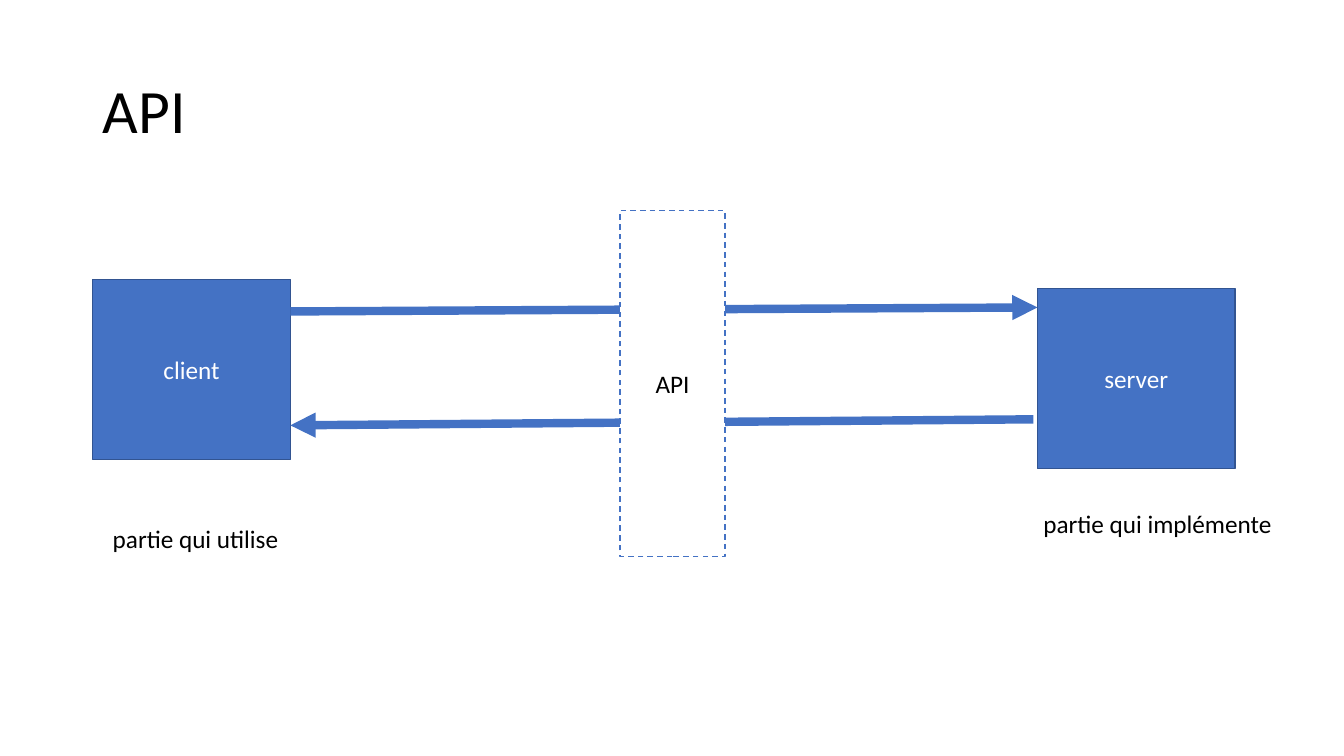
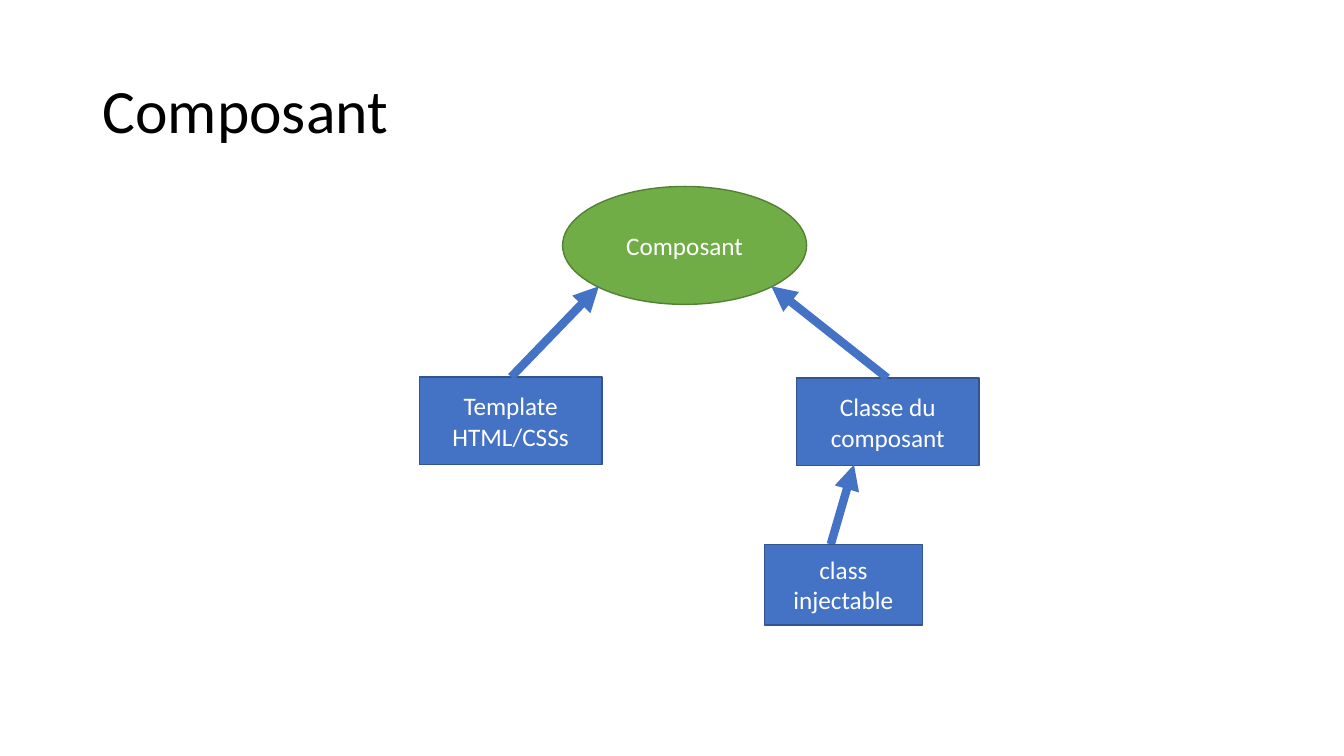
from lxml.etree import SubElement
from pptx import Presentation
from pptx.dml.color import RGBColor
from pptx.enum.dml import MSO_LINE
from pptx.enum.shapes import MSO_CONNECTOR, MSO_SHAPE
from pptx.enum.text import MSO_ANCHOR, MSO_AUTO_SIZE, PP_ALIGN
from pptx.oxml.ns import qn
from pptx.util import Inches, Pt

FONT = "Calibri"
BLACK, WHITE, BLUE = "000000", "FFFFFF", "4472C4"

# Node styles: shape, fill, outline, text colour, dash
STYLES = {
    "block": (MSO_SHAPE.RECTANGLE, BLUE, "325491", WHITE, None),
    "root": (MSO_SHAPE.OVAL, "70AD47", "538035", WHITE, None),
    "interface": (MSO_SHAPE.RECTANGLE, WHITE, BLUE, BLACK, MSO_LINE.DASH),
}

# Content: nodes (style, text, left, top, width, height), arrows (start, end),
# nodes in front of the arrows, captions (text, left, top, width, height)
SLIDES = [
    {
        "title": "API",
        "nodes": [
            ("block", "client", 0.92, 2.77, 1.96, 1.79),
            ("block", "server", 10.29, 2.86, 1.96, 1.79),
        ],
        "arrows": [
            ((2.88, 3.09), (10.29, 3.05)),
            ((10.25, 4.16), (2.88, 4.22)),
        ],
        "front": [("interface", "API", 6.15, 2.09, 1.04, 3.43)],
        "captions": [
            ("partie qui utilise", 1.02, 5.14, 1.87, 0.4),
            ("partie qui implémente", 10.25, 4.99, 2.5, 0.4),
        ],
    },
    {
        "title": "Composant",
        "nodes": [
            ("root", "Composant", 5.58, 1.85, 2.42, 1.17),
            ("block", "Template\nHTML/CSSs", 4.16, 3.74, 1.81, 0.87),
            ("block", "Classe du composant", 7.9, 3.75, 1.81, 0.87),
        ],
        "arrows": [
            ((5.07, 3.74), (5.94, 2.84)),
            ((8.8, 3.75), (7.65, 2.84)),
            ((8.24, 5.4), (8.47, 4.61)),
        ],
        "front": [("block", "class injectable", 7.58, 5.4, 1.57, 0.8)],
        "captions": [],
    },
]


def rgb(value):
    return RGBColor.from_string(value)


def write(frame, text, colour, size=18, align=PP_ALIGN.LEFT):
    frame.text = text
    for paragraph in frame.paragraphs:
        paragraph.alignment = align
        paragraph.font.name = FONT
        paragraph.font.size = Pt(size)
        paragraph.font.color.rgb = rgb(colour)


def add_title(slide, text):
    frame = slide.shapes.add_textbox(*map(Inches, (0.92, 0.4, 11.5, 1.45))).text_frame
    frame.word_wrap = True
    frame.vertical_anchor = MSO_ANCHOR.MIDDLE
    write(frame, text, BLACK, 44)
    frame.paragraphs[0].line_spacing = 0.9


def add_node(slide, style, text, *place):
    preset, fill, outline, colour, dash = STYLES[style]
    node = slide.shapes.add_shape(preset, *map(Inches, place))
    node.shadow.inherit = False
    node.fill.solid()
    node.fill.fore_color.rgb = rgb(fill)
    node.line.color.rgb = rgb(outline)
    node.line.width = Pt(1)
    if dash:
        node.line.dash_style = dash
    node.text_frame.word_wrap = True
    node.text_frame.vertical_anchor = MSO_ANCHOR.MIDDLE
    write(node.text_frame, text, colour, align=PP_ALIGN.CENTER)


def add_arrow(slide, start, end):
    arrow = slide.shapes.add_connector(MSO_CONNECTOR.STRAIGHT, *map(Inches, start + end))
    arrow.line.color.rgb = rgb(BLUE)
    arrow.line.width = Pt(6)
    SubElement(arrow.line._get_or_add_ln(), qn("a:tailEnd"), type="triangle")
    SubElement(arrow._element.spPr, qn("a:effectLst"))


def add_caption(slide, text, *place):
    frame = slide.shapes.add_textbox(*map(Inches, place)).text_frame
    frame.word_wrap = False
    frame.auto_size = MSO_AUTO_SIZE.SHAPE_TO_FIT_TEXT
    write(frame, text, BLACK)


def main():
    deck = Presentation()
    deck.slide_width, deck.slide_height = Inches(13.33), Inches(7.5)
    for content in SLIDES:
        slide = deck.slides.add_slide(deck.slide_layouts[6])
        add_title(slide, content["title"])
        # Layers from back to front
        for layer, add in (("nodes", add_node), ("arrows", add_arrow),
                           ("front", add_node), ("captions", add_caption)):
            for part in content[layer]:
                add(slide, *part)
    deck.save("out.pptx")


if __name__ == "__main__":
    main()
